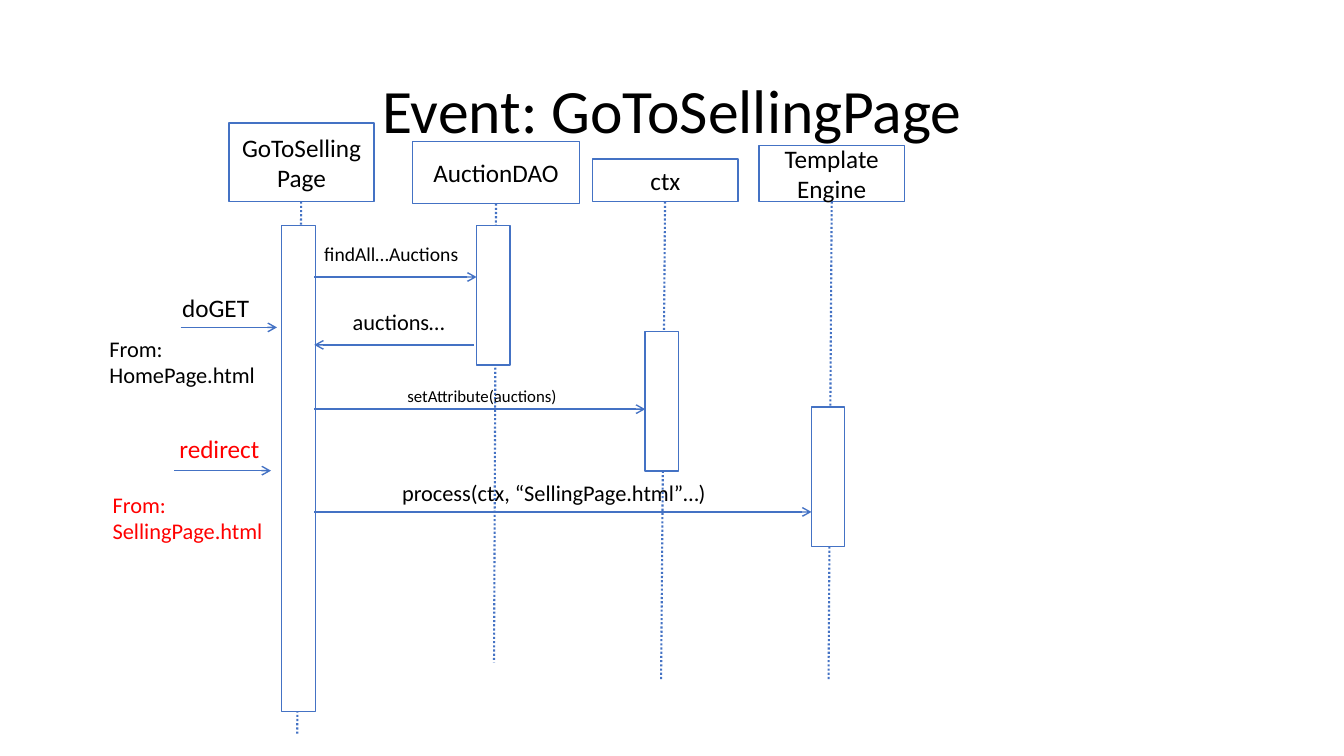
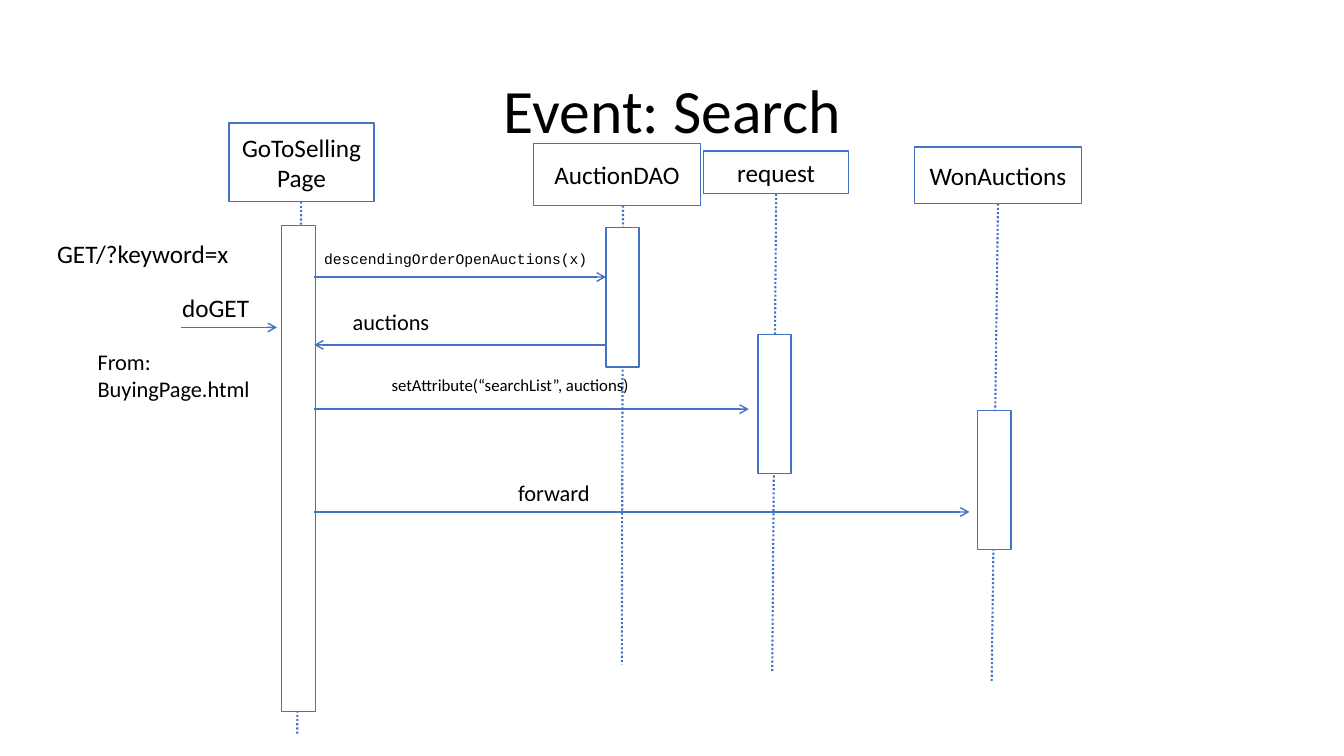
from lxml import etree
from pptx import Presentation
from pptx.dml.color import RGBColor
from pptx.enum.dml import MSO_LINE
from pptx.enum.shapes import MSO_CONNECTOR, MSO_SHAPE
from pptx.enum.text import MSO_ANCHOR, MSO_AUTO_SIZE, PP_ALIGN
from pptx.oxml.ns import qn
from pptx.util import Cm, Pt

RECT = MSO_SHAPE.RECTANGLE
STRAIGHT = MSO_CONNECTOR.STRAIGHT
DOTS = MSO_LINE.ROUND_DOT
LEFT, MID = PP_ALIGN.LEFT, PP_ALIGN.CENTER
CORE = MSO_ANCHOR.MIDDLE
GROW = MSO_AUTO_SIZE.SHAPE_TO_FIT_TEXT
COLORS = {"ink": "000000", "blue": "4472C4", "red": "FF0000", "paper": "FFFFFF"}
SANS, MONO = "Calibri", "Courier New"
EDGE = 7.92
BAR = (0.84, 3.51)


class Deck:
    def __init__(self):
        self.file = Presentation()
        self.file.slide_width = Cm(33.87)
        self.file.slide_height = Cm(19.05)
        self.slide = None

    def color(self, name):
        return RGBColor.from_string(COLORS[name])

    def page(self, title):
        self.slide = self.file.slides.add_slide(self.file.slide_layouts[6])
        box = self.label(title, 2.34, 1.02, 29.21, 3.68, 44, align=MID, grow=False)
        box.text_frame.vertical_anchor = CORE
        box.text_frame.paragraphs[0].line_spacing = 0.9

    def add_run(self, frame, text, size, align, color="ink", font=SANS):
        para = frame.paragraphs[0]
        para.alignment = align
        run = para.add_run()
        run.text = text
        run.font.size = Pt(size)
        run.font.name = font
        run.font.color.rgb = self.color(color)

    def label(self, text, x, y, w, h, size, align=LEFT, color="ink",
              font=SANS, wrap=True, grow=True):
        box = self.slide.shapes.add_textbox(Cm(x), Cm(y), Cm(w), Cm(h))
        box.text_frame.word_wrap = wrap
        if grow:
            box.text_frame.auto_size = GROW
        self.add_run(box.text_frame, text, size, align, color, font)
        return box

    def box(self, x, y, w, h, text=None):
        shape = self.slide.shapes.add_shape(RECT, Cm(x), Cm(y), Cm(w), Cm(h))
        shape.shadow.inherit = False
        shape.fill.solid()
        shape.fill.fore_color.rgb = self.color("paper")
        shape.line.color.rgb = self.color("blue")
        shape.line.width = Pt(1)
        if text:
            shape.text_frame.word_wrap = True
            shape.text_frame.vertical_anchor = CORE
            self.add_run(shape.text_frame, text, 18, MID)

    def line(self, x1, y1, x2, y2, width):
        line = self.slide.shapes.add_connector(STRAIGHT, Cm(x1), Cm(y1), Cm(x2), Cm(y2))
        line.line.color.rgb = self.color("blue")
        line.line.width = Pt(width)
        etree.SubElement(line.element.spPr, qn("a:effectLst"))
        return line

    def arrow(self, x1, x2, y):
        line = self.line(x1, y, x2, y, 1)
        stroke = line.element.spPr.find(qn("a:ln"))
        etree.SubElement(stroke, qn("a:tailEnd"), type="arrow")

    def actor(self, name, head, life, bar, size=BAR):
        x, y, w, h = head
        top, foot, end = life
        self.box(x, y, w, h, name)
        self.line(top, y + h, foot, end, 1.5).line.dash_style = DOTS
        self.box(*bar, *size)

    def event(self, title, actors, calls):
        self.page(title)
        self.actor("GoToSellingPage", (5.77, 3.1, 3.66, 1.98),
                   (7.59, 7.49, 18.52), (7.09, 5.69), (0.86, 12.24))
        for actor in actors:
            self.actor(*actor)
        for call in calls:
            self.arrow(*call)
        self.arrow(4.55, 6.98, 8.25)
        self.label("doGET", 4.34, 7.24, 2.21, 1.02, 18, wrap=False)

    def source(self, text, x, y, w, color="ink"):
        self.label(text, x, y, w, 1.63, 16, color=color)

    def result(self, text, w):
        self.label(text, 8.64, 7.65, w, 0.94, 16, wrap=False)

    def store(self, text, x, y):
        self.label(text, x, y, 11.4, 0.76, 12, align=MID)

    def hand(self, text):
        self.label(text, 8.56, 11.94, 10.8, 0.94, 16, align=MID)


def selling(deck):
    deck.event("Event: GoToSellingPage", [
        ("AuctionDAO", (10.39, 3.56, 4.22, 1.57), (12.5, 12.45, 16.69), (12.01, 5.69)),
        ("ctx", (14.94, 4.01, 3.66, 1.07), (16.76, 16.66, 17.15), (16.26, 8.36)),
        ("Template Engine", (19.13, 3.66, 3.66, 1.42), (20.96, 20.88, 17.15), (20.45, 10.26)),
    ], [
        (EDGE, 12.01, 6.98),
        (11.94, EDGE, 8.69),
        (EDGE, 16.26, 10.31),
        (EDGE, 20.45, 12.9),
    ])
    deck.label("findAll…Auctions", EDGE, 5.97, 3.96, 0.86, 14, wrap=False)
    deck.result("auctions…", 2.87)
    deck.store("setAttribute(auctions)", 6.45, 9.6)
    deck.hand("process(ctx, “SellingPage.html”…)")
    deck.source("From: HomePage.html", 2.51, 8.31, 4.24)
    deck.source("From: SellingPage.html", 2.59, 12.24, 4.6, "red")
    deck.label("redirect", 4.27, 10.8, 2.57, 1.02, 18, color="red", wrap=False)
    deck.arrow(4.39, 6.83, 11.86)


def search(deck):
    deck.event("Event: Search", [
        ("AuctionDAO", (13.44, 3.61, 4.22, 1.57), (15.7, 15.67, 16.74), (15.27, 5.74)),
        ("request", (17.73, 3.81, 3.66, 1.07), (19.56, 19.46, 16.94), (19.1, 8.43)),
        ("WonAuctions", (23.04, 3.71, 4.22, 1.42), (25.15, 24.99, 17.2), (24.64, 10.34)),
    ], [
        (EDGE, 15.27, 6.98),
        (15.27, EDGE, 8.69),
        (EDGE, 18.87, 10.31),
        (EDGE, 24.43, 12.9),
    ])
    deck.label("descendingOrderOpenAuctions(x)", EDGE, 6.17, 10.69, 0.71, 10.5, font=MONO)
    deck.result("auctions", 2.46)
    deck.store("setAttribute(“searchList”, auctions)", 7.16, 9.32)
    deck.hand("forward")
    deck.source("From: BuyingPage.html", 2.21, 8.64, 4.67)
    deck.label("GET/?keyword=x", 1.19, 5.89, 4.88, 1.02, 18, wrap=False)


def main():
    deck = Deck()
    selling(deck)
    search(deck)
    deck.file.save("out.pptx")


if __name__ == "__main__":
    main()
